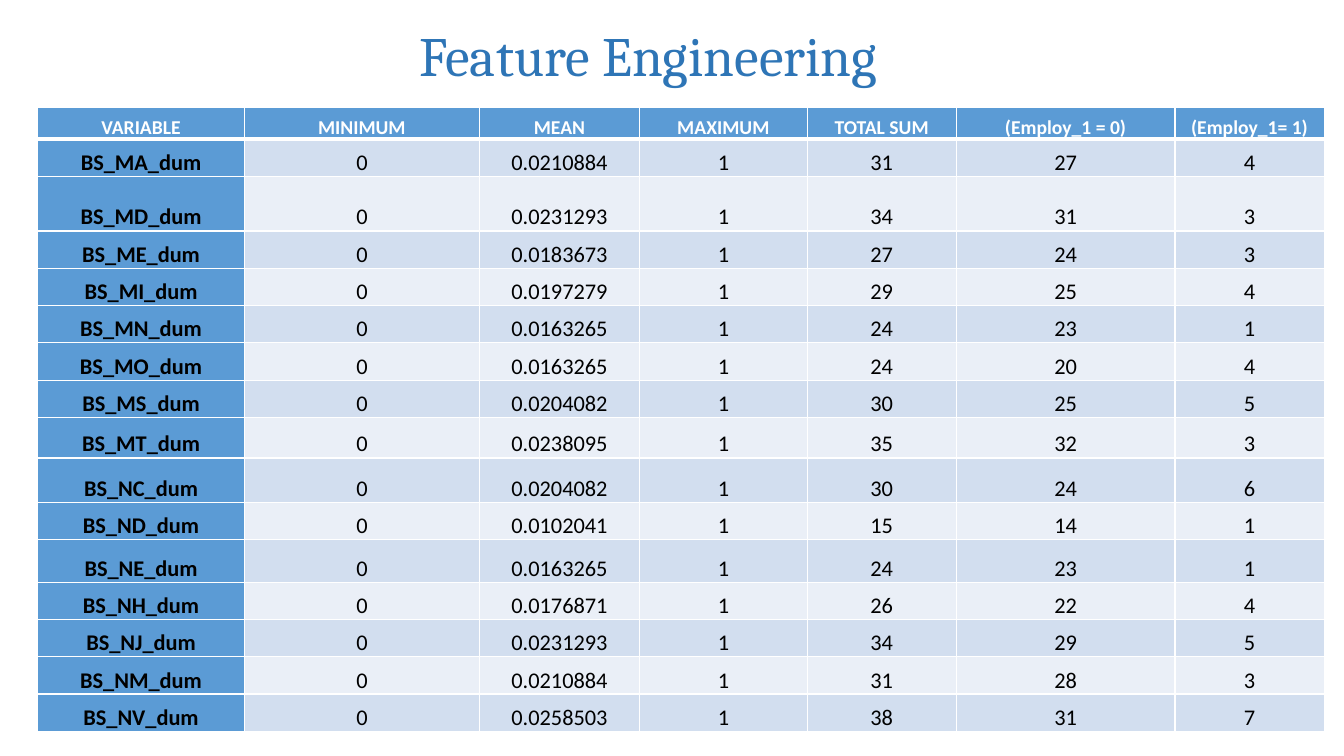
from dataclasses import dataclass

from lxml import etree
from pptx import Presentation, util as u
from pptx.dml.color import RGBColor
from pptx.enum import text
from pptx.oxml.ns import qn


@dataclass(frozen=True)
class Theme:
    title: str = "2E75B6"
    accent: str = "5B9BD5"
    band_dark: str = "D2DEEF"
    band_light: str = "EAEFF7"
    white: str = "FFFFFF"
    black: str = "000000"
    title_font: str = "Cambria"
    body_font: str = "Calibri"
    title_size: float = 39.6
    header_size: float = 14
    body_size: float = 16
    line: float = 1
    header_line: float = 3


HEADERS = ["VARIABLE", "MINIMUM", "MEAN", "MAXIMUM", "TOTAL SUM",
           "(Employ_1 = 0)", "(Employ_1= 1)"]
# State, mean, total sum, count for Employ_1 = 0, count for Employ_1 = 1
STATES = [
    ("MA", "0.0210884", 31, 27, 4),
    ("MD", "0.0231293", 34, 31, 3),
    ("ME", "0.0183673", 27, 24, 3),
    ("MI", "0.0197279", 29, 25, 4),
    ("MN", "0.0163265", 24, 23, 1),
    ("MO", "0.0163265", 24, 20, 4),
    ("MS", "0.0204082", 30, 25, 5),
    ("MT", "0.0238095", 35, 32, 3),
    ("NC", "0.0204082", 30, 24, 6),
    ("ND", "0.0102041", 15, 14, 1),
    ("NE", "0.0163265", 24, 23, 1),
    ("NH", "0.0176871", 26, 22, 4),
    ("NJ", "0.0231293", 34, 29, 5),
    ("NM", "0.0210884", 31, 28, 3),
    ("NV", "0.0258503", 38, 31, 7),
]
COL_WIDTHS = [5.21, 5.92, 4.04, 4.22, 3.76, 5.51, 3.76]
ROW_HEIGHT = 0.94
ODD_HEIGHTS = {0: 0.81, 2: 1.37, 8: 1.02, 9: 1.12, 11: 1.07}


class SlideBuilder:
    def __init__(self, prs, theme):
        self.theme = theme
        self.s = prs.slides.add_slide(prs.slide_layouts[6])

    def add_run(self, p, words, font, size, color, bold=False):
        p.alignment = text.PP_ALIGN.CENTER
        r = p.add_run()
        r.text = words
        r.font.name, r.font.size, r.font.bold = font, u.Pt(size), bold
        r.font.color.rgb = RGBColor.from_string(color)

    def title(self, words, x, y, w, h):
        t = self.theme
        sp = self.s.shapes.add_textbox(u.Cm(x), u.Cm(y), u.Cm(w), u.Cm(h))
        tf = sp.text_frame
        tf.word_wrap = True
        tf.vertical_anchor = text.MSO_ANCHOR.MIDDLE
        self.add_run(tf.paragraphs[0], words, t.title_font, t.title_size, t.title)

    def borders(self, cell, top, bottom):
        tc_pr = cell._tc.get_or_add_tcPr()
        sides = {"lnL": self.theme.line, "lnR": self.theme.line,
                 "lnT": top, "lnB": bottom}
        for side, width in sides.items():
            ln = etree.SubElement(tc_pr, qn(f"a:{side}"), w=str(u.Pt(width)))
            fill = etree.SubElement(ln, qn("a:solidFill"))
            etree.SubElement(fill, qn("a:srgbClr"), val=self.theme.white)

    def cell(self, cell, words, row, col):
        t = self.theme
        header = row == 0
        band = t.band_dark if row % 2 else t.band_light
        self.borders(cell, t.header_line if row == 1 else t.line,
                     t.header_line if header else t.line)
        cell.fill.solid()
        cell.fill.fore_color.rgb = RGBColor.from_string(
            t.accent if header or col == 0 else band)
        cell.margin_left = cell.margin_right = u.Cm(0.15 if header else 0.18)
        cell.margin_top = cell.margin_bottom = 0
        cell.vertical_anchor = text.MSO_ANCHOR.BOTTOM
        p = cell.text_frame.paragraphs[0]
        p.line_spacing = 1.07
        p.space_after = u.Pt(0.9)
        self.add_run(p, words, t.body_font,
                     t.header_size if header else t.body_size,
                     t.white if header else t.black, header or col == 0)

    def table(self, rows, widths, heights, x, y):
        table = self.s.shapes.add_table(
            len(rows), len(widths), u.Cm(x), u.Cm(y),
            u.Cm(sum(widths)), u.Cm(sum(heights))).table
        for column, width in zip(table.columns, widths):
            column.width = u.Cm(width)
        for i, values in enumerate(rows):
            table.rows[i].height = u.Cm(heights[i])
            for j, value in enumerate(values):
                self.cell(table.cell(i, j), str(value), i, j)


def main():
    prs = Presentation()
    prs.slide_width, prs.slide_height = u.Cm(33.87), u.Cm(19.05)
    slide = SlideBuilder(prs, Theme())

    # Title
    slide.title("Feature Engineering", 1.14, 0.46, 30.4, 1.83)

    # Summary of the state dummies, each ranging from 0 to 1
    rows = [HEADERS] + [(f"BS_{state}_dum", 0, mean, 1, total, zeros, ones)
                        for state, mean, total, zeros, ones in STATES]
    heights = [ODD_HEIGHTS.get(i, ROW_HEIGHT) for i in range(len(rows))]
    slide.table(rows, COL_WIDTHS, heights, 0.95, 2.7)

    prs.save("out.pptx")


if __name__ == "__main__":
    main()
